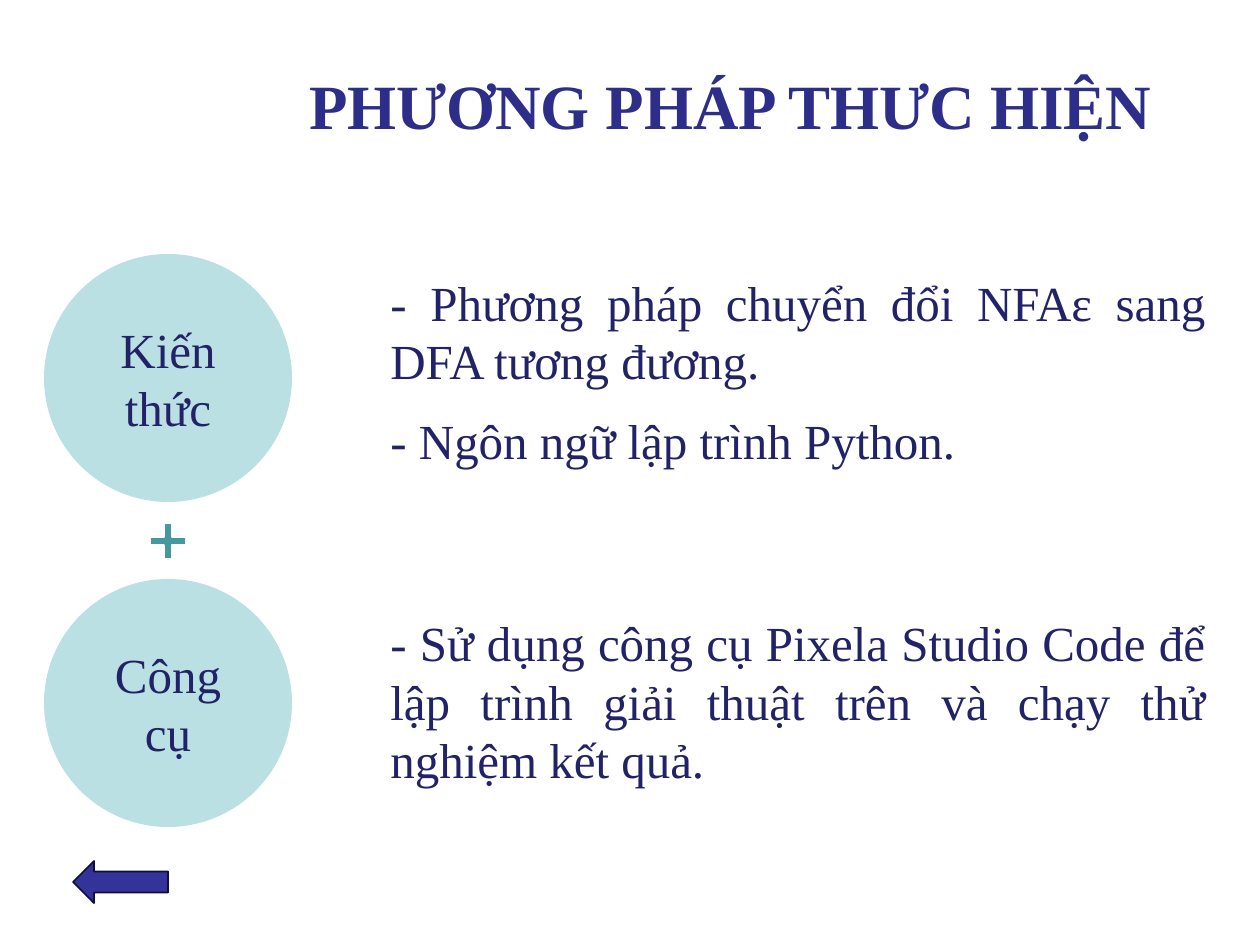
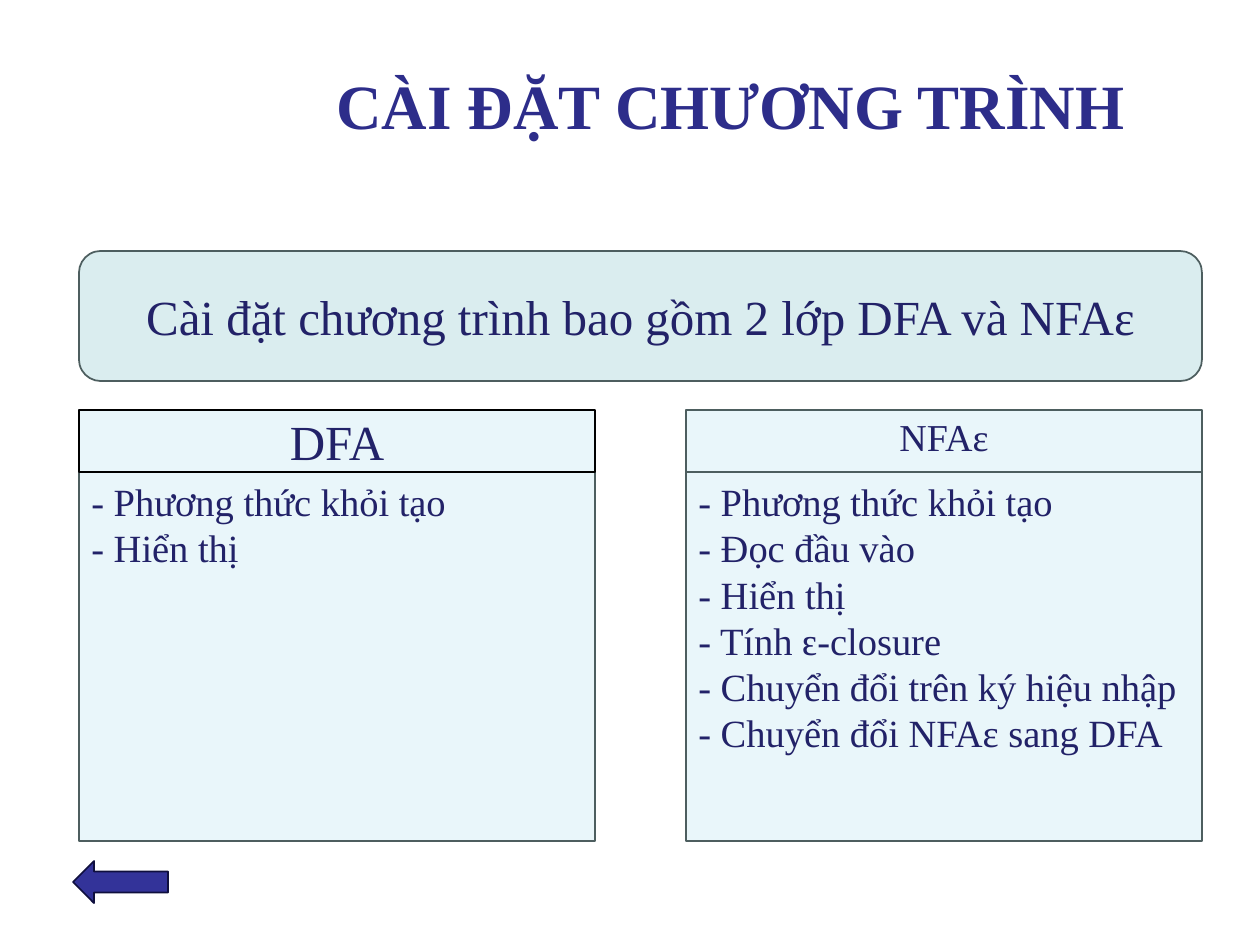
from dataclasses import dataclass

from pptx import Presentation
from pptx.dml.color import RGBColor
from pptx.enum.shapes import MSO_SHAPE
from pptx.enum.text import MSO_ANCHOR, PP_ALIGN
from pptx.util import Pt

PX = 914400 / 126
FONT = "Times New Roman"
TITLE, INK, WHITE = "2D2D8A", "222268", "FFFFFF"
ARROW, ARROW_LINE = "333399", "0F0F3E"
CIRCLE, PLUS = "BBE0E3", "4597A0"
BANNER, PANEL, EDGE, BLACK = "DAEDEF", "E9F6FA", "4D5E5F", "000000"
RECT, ROUND = MSO_SHAPE.RECTANGLE, MSO_SHAPE.ROUNDED_RECTANGLE
OVAL, LEFT_ARROW = MSO_SHAPE.OVAL, MSO_SHAPE.LEFT_ARROW
TOP, MIDDLE = MSO_ANCHOR.TOP, MSO_ANCHOR.MIDDLE
LEFT, CENTER, JUSTIFY = PP_ALIGN.LEFT, PP_ALIGN.CENTER, PP_ALIGN.JUSTIFY


@dataclass
class Text:
    """Paragraphs that share one style."""
    lines: list[str]
    size: float = 28
    color: str = INK
    align: PP_ALIGN = CENTER
    anchor: MSO_ANCHOR = MIDDLE
    bold: bool = False
    after: int = 0
    spacing: float = 1.0


@dataclass
class Box:
    """A place on the slide in px."""
    x: int
    y: int
    w: int
    h: int

    def emu(self) -> list[int]:
        """Return the place in EMU."""
        return [px(v) for v in (self.x, self.y, self.w, self.h)]


@dataclass
class ClassPanel:
    """A class name above the list of its methods."""
    x: int
    name: Text
    methods: list[str]
    name_edge: str


@dataclass
class Step:
    """A circle label with its explanation."""
    circle_y: int
    label: str
    body: Box
    lines: list[str]


STEPS = [
    Step(254, "Kiến thức", Box(378, 266, 840, 224),
         ["- Phương pháp chuyển đổi NFAε sang DFA tương đương.",
          "- Ngôn ngữ lập trình Python."]),
    Step(579, "Công cụ", Box(378, 606, 840, 195),
         ["- Sử dụng công cụ Pixela Studio Code để lập trình giải thuật "
          "trên và chạy thử nghiệm kết quả."]),
]
PANELS = [
    ClassPanel(79, Text(["DFA"]),
               ["- Phương thức khỏi tạo", "- Hiển thị"], BLACK),
    ClassPanel(686, Text(["NFAε"], size=21.7, spacing=0.8),
               ["- Phương thức khỏi tạo", "- Đọc đầu vào", "- Hiển thị",
                "- Tính ԑ-closure", "- Chuyển đổi trên ký hiệu nhập",
                "- Chuyển đổi NFAε sang DFA"], EDGE),
]


def px(value: float) -> int:
    """Turn px into EMU."""
    return round(value * PX)


def rgb(color: str) -> RGBColor:
    """Turn a hex string into a colour."""
    return RGBColor.from_string(color)


def write(sp, text: Text) -> None:
    """Put styled paragraphs into a shape."""
    tf = sp.text_frame
    tf.word_wrap = True
    tf.vertical_anchor = text.anchor
    for i, line in enumerate(text.lines):
        p = tf.add_paragraph() if i else tf.paragraphs[0]
        p.text = line
        p.alignment = text.align
        p.space_after = Pt(text.after)
        p.line_spacing = text.spacing
        p.font.name = FONT
        p.font.size = Pt(text.size)
        p.font.bold = text.bold
        p.font.color.rgb = rgb(text.color)


def paint(sp, fill: str, line: str | None) -> None:
    """Set fill and outline and drop the shadow."""
    sp.shadow.inherit = False
    sp.fill.solid()
    sp.fill.fore_color.rgb = rgb(fill)
    if line:
        sp.line.color.rgb = rgb(line)
        sp.line.width = Pt(1)
    else:
        sp.line.fill.background()


def add_shape(s, kind: MSO_SHAPE, box: Box, fill: str,
              line: str | None = None, text: Text | None = None) -> None:
    """Draw a preset shape with optional text."""
    sp = s.shapes.add_shape(kind, *box.emu())
    paint(sp, fill, line)
    if text:
        write(sp, text)


def add_text(s, box: Box, text: Text) -> None:
    """Draw a text box."""
    write(s.shapes.add_textbox(*box.emu()), text)


def add_plus(s, cx: int, cy: int, arm: int, bar: int) -> None:
    """Draw a plus sign by turning one arm four times."""
    points = []
    corners = [(-bar, -arm), (bar, -arm), (bar, -bar)]
    for _ in range(4):
        points += [(cx + x, cy + y) for x, y in corners]
        corners = [(-y, x) for x, y in corners]
    builder = s.shapes.build_freeform(*points[0], scale=PX)
    builder.add_line_segments(points[1:], close=True)
    paint(builder.convert_to_shape(), PLUS, WHITE)


def add_base(prs, title: str):
    """Add a slide with its title and back arrow."""
    s = prs.slides.add_slide(prs.slide_layouts[6])
    add_text(s, Box(242, 39, 977, 130), Text([title], 36, TITLE, bold=True))
    add_shape(s, LEFT_ARROW, Box(73, 861, 95, 42), ARROW, ARROW_LINE)
    return s


def build_method(prs) -> None:
    """Build the slide on knowledge and tools."""
    s = add_base(prs, "PHƯƠNG PHÁP THƯC HIỆN")
    for step in STEPS:
        add_text(s, step.body,
                 Text(step.lines, align=JUSTIFY, anchor=TOP, after=12))
        add_shape(s, OVAL, Box(44, step.circle_y, 248, 248), CIRCLE,
                  text=Text([step.label]))
    add_plus(s, 168, 541, 18, 4)


def build_program(prs) -> None:
    """Build the slide on the two classes."""
    s = add_base(prs, "CÀI ĐẶT CHƯƠNG TRÌNH")
    add_shape(s, ROUND, Box(79, 251, 1123, 130), BANNER, EDGE,
              Text(["Cài đặt chương trình bao gồm 2 lớp DFA và NFAε"]))
    for panel in PANELS:
        add_shape(s, RECT, Box(panel.x, 472, 516, 369), PANEL, EDGE,
                  Text(panel.methods, 22, align=LEFT, anchor=TOP))
        add_shape(s, RECT, Box(panel.x, 410, 516, 62), PANEL,
                  panel.name_edge, panel.name)


def main() -> None:
    """Build and save the presentation."""
    prs = Presentation()
    prs.slide_width, prs.slide_height = px(1260), px(945)
    build_method(prs)
    build_program(prs)
    prs.save("out.pptx")


if __name__ == "__main__":
    main()
